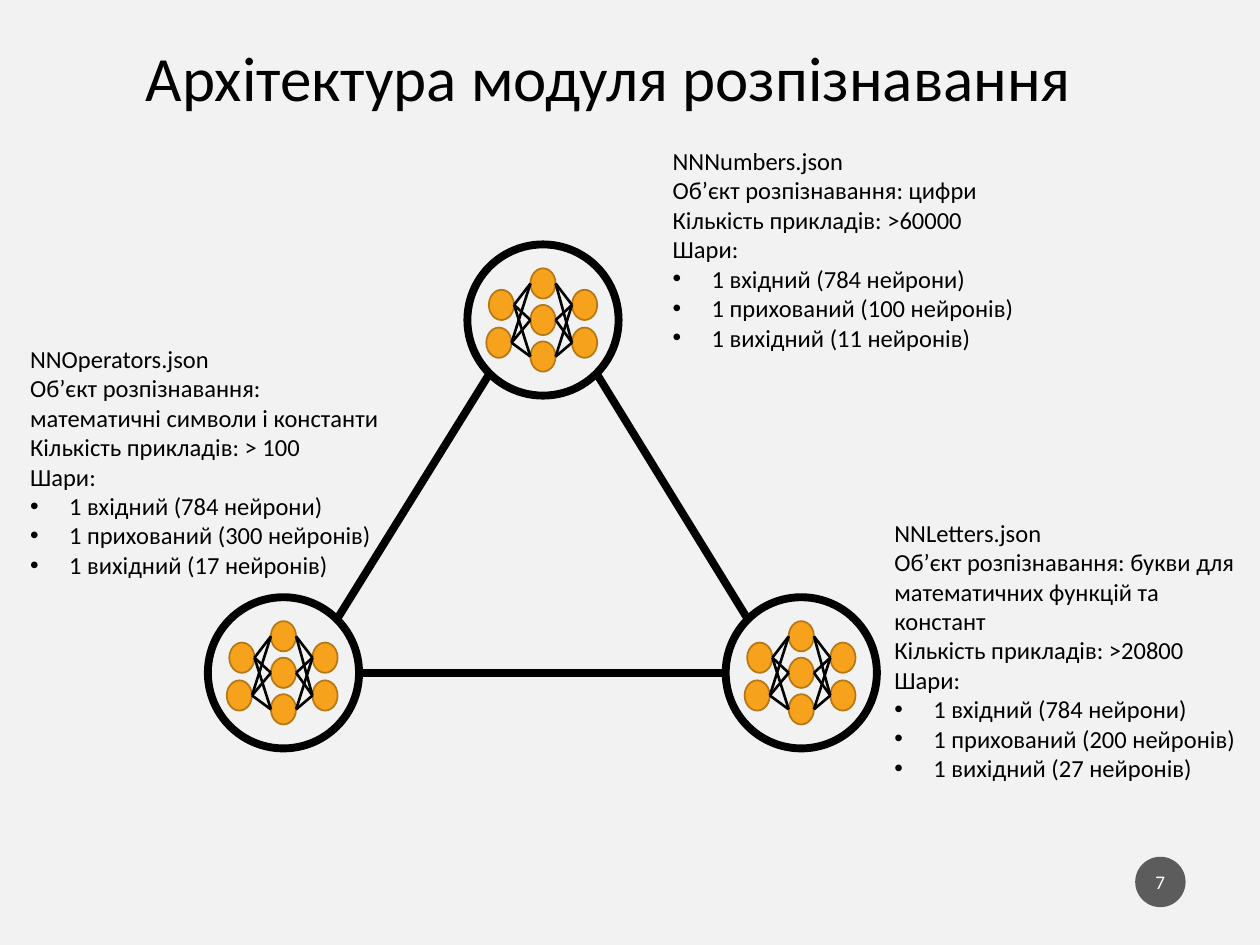
from itertools import product
from math import sqrt

from lxml.etree import SubElement
from pptx import Presentation
from pptx.dml.color import RGBColor
from pptx.enum.shapes import MSO_CONNECTOR as Connector, MSO_SHAPE as Shape
from pptx.enum.text import MSO_ANCHOR as Anchor, MSO_AUTO_SIZE as AutoSize, PP_ALIGN as Align
from pptx.oxml.ns import qn
from pptx.util import Inches, Pt

COLORS = {
    "background": "F2F2F2",
    "ink": "000000",
    "neuron": "F6A21D",
    "neuron_edge": "B67815",
    "badge": "1D1D1D",
    "badge_text": "FFFFFF",
}
FONT = "Calibri"

# The slide is a grid of 100 columns by 75 rows.
COLUMNS, ROWS = 100, 75
CELL = Inches(0.1)

RING_RADIUS = 6
DIAGONAL = RING_RADIUS / sqrt(2)
NEURON_WIDTH, NEURON_HEIGHT = 2, 2.4
HALF_NEURON = NEURON_WIDTH / 2

# Neuron centres, measured from the centre of the ring.
INPUT_LAYER = [(-3.3, -1.2), (-3.5, 1.8)]
HIDDEN_LAYER = [(0, row) for row in (-2.9, 0, 2.9)]
OUTPUT_LAYER = [(3.3, -1.2), (3.3, 1.8)]

NUMBERS_CENTER = (43.1, 25.4)
OPERATORS_CENTER = (22.5, 53.4)
LETTERS_CENTER = (63.6, 53.4)

# Place on the grid, wrapping, file, recognised objects, examples, layer sizes.
DESCRIPTIONS = [
    ((52.4, 11.1, 29.2, 17.5), False, "NNNumbers.json", "цифри", ">60000", (784, 100, 11)),
    ((70, 40.6, 30, 22.2), True, "NNLetters.json",
     "букви для математичних функцій та констант", ">20800", (784, 200, 27)),
    ((1.4, 26.8, 30.5, 19.9), True, "NNOperators.json",
     "математичні символи і константи", "> 100", (784, 300, 17)),
]


def cells(*counts):
    return [round(count * CELL) for count in counts]


def color(name):
    return RGBColor.from_string(COLORS[name])


def shift(center, offset):
    return center[0] + offset[0], center[1] + offset[1]


def style_text(para, size, color_name="ink"):
    para.font.name = FONT
    para.font.size = Pt(size)
    para.font.color.rgb = color(color_name)


def add_ellipse(shapes, center, width, height, fill=None, edge=None, weight=1):
    left, top = center[0] - width / 2, center[1] - height / 2
    ellipse = shapes.add_shape(Shape.OVAL, *cells(left, top, width, height))
    ellipse.shadow.inherit = False
    if fill:
        ellipse.fill.solid()
        ellipse.fill.fore_color.rgb = color(fill)
    else:
        ellipse.fill.background()
    if edge:
        ellipse.line.color.rgb = color(edge)
        ellipse.line.width = Pt(weight)
    else:
        ellipse.line.fill.background()
    return ellipse


def add_line(shapes, start, end, weight):
    line = shapes.add_connector(Connector.STRAIGHT, *cells(*start, *end))
    line.line.color.rgb = color("ink")
    line.line.width = Pt(weight)
    SubElement(line._element.spPr, qn("a:effectLst"))


def add_network(slide, center):
    """Group a ring with a small three-layer network inside it."""
    shapes = slide.shapes.add_group_shape().shapes
    for neuron in INPUT_LAYER + HIDDEN_LAYER + OUTPUT_LAYER:
        add_ellipse(shapes, shift(center, neuron), NEURON_WIDTH, NEURON_HEIGHT,
                    "neuron", "neuron_edge")
    for layer, next_layer in ((INPUT_LAYER, HIDDEN_LAYER), (HIDDEN_LAYER, OUTPUT_LAYER)):
        for source, target in product(layer, next_layer):
            start = shift(shift(center, source), (HALF_NEURON, 0))
            end = shift(shift(center, target), (-HALF_NEURON, 0))
            add_line(shapes, start, end, 1.5)
    add_ellipse(shapes, center, 2 * RING_RADIUS, 2 * RING_RADIUS, edge="ink", weight=4.5)


def add_triangle_sides(slide):
    """Join the three rings from edge to edge."""
    sides = [
        (NUMBERS_CENTER, (-DIAGONAL, DIAGONAL), OPERATORS_CENTER, (DIAGONAL, -DIAGONAL)),
        (LETTERS_CENTER, (-RING_RADIUS, 0), OPERATORS_CENTER, (RING_RADIUS, 0)),
        (NUMBERS_CENTER, (DIAGONAL, DIAGONAL), LETTERS_CENTER, (-DIAGONAL, -DIAGONAL)),
    ]
    for start, start_offset, end, end_offset in sides:
        add_line(slide.shapes, shift(start, start_offset), shift(end, end_offset), 4.5)


def add_bullet(para):
    props = para._p.get_or_add_pPr()
    props.set("marL", str(Inches(0.31)))
    props.set("indent", str(-Inches(0.31)))
    SubElement(props, qn("a:buFont"), typeface="Arial")
    SubElement(props, qn("a:buChar"), char="•")


def add_text(slide, place, lines, size, wrap=False, bullets=()):
    box = slide.shapes.add_textbox(*cells(*place))
    frame = box.text_frame
    frame.word_wrap = wrap
    frame.auto_size = AutoSize.SHAPE_TO_FIT_TEXT
    frame.text = "\n".join([*lines, *bullets])
    for index, para in enumerate(frame.paragraphs):
        if index >= len(lines):
            add_bullet(para)
        style_text(para, size)


def add_description(slide, place, wrap, file_name, objects, examples, layer_sizes):
    lines = [
        file_name,
        f"Об’єкт розпізнавання: {objects}",
        f"Кількість прикладів: {examples}",
        "Шари:",
    ]
    labels = ("вхідний ({} нейрони)", "прихований ({} нейронів)", "вихідний ({} нейронів)")
    bullets = [f"1 {label.format(count)}" for label, count in zip(labels, layer_sizes)]
    add_text(slide, place, lines, 14, wrap, bullets)


def add_page_badge(slide, number):
    badge = add_ellipse(slide.shapes, (92.1, 70), 4, 4, fill="badge")
    fill_color = badge._element.spPr.find(qn("a:solidFill"))[0]
    SubElement(fill_color, qn("a:alpha"), val="70000")
    frame = badge.text_frame
    frame.margin_left = frame.margin_right = Inches(0.02)
    frame.vertical_anchor = Anchor.MIDDLE
    para = frame.paragraphs[0]
    para.text = str(number)
    para.alignment = Align.CENTER
    style_text(para, 11, "badge_text")


def main():
    deck = Presentation()
    deck.slide_width, deck.slide_height = cells(COLUMNS, ROWS)
    slide = deck.slides.add_slide(deck.slide_layouts[6])
    slide.background.fill.solid()
    slide.background.fill.fore_color.rgb = color("background")

    add_text(slide, (10.6, 2.6, 78.9, 7.1), ["Архітектура модуля розпізнавання"], 36)
    for center in (NUMBERS_CENTER, OPERATORS_CENTER, LETTERS_CENTER):
        add_network(slide, center)
    add_triangle_sides(slide)
    for description in DESCRIPTIONS:
        add_description(slide, *description)
    add_page_badge(slide, 7)
    deck.save("out.pptx")


if __name__ == "__main__":
    main()
